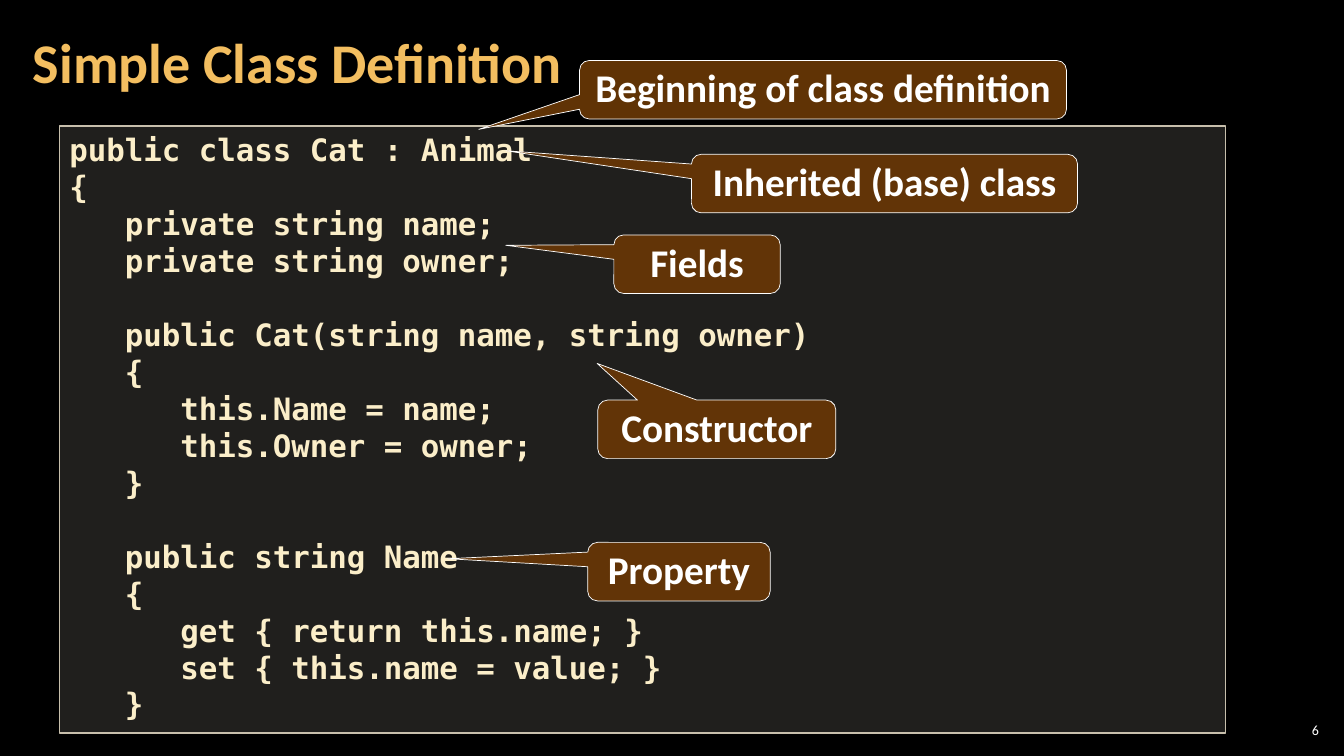
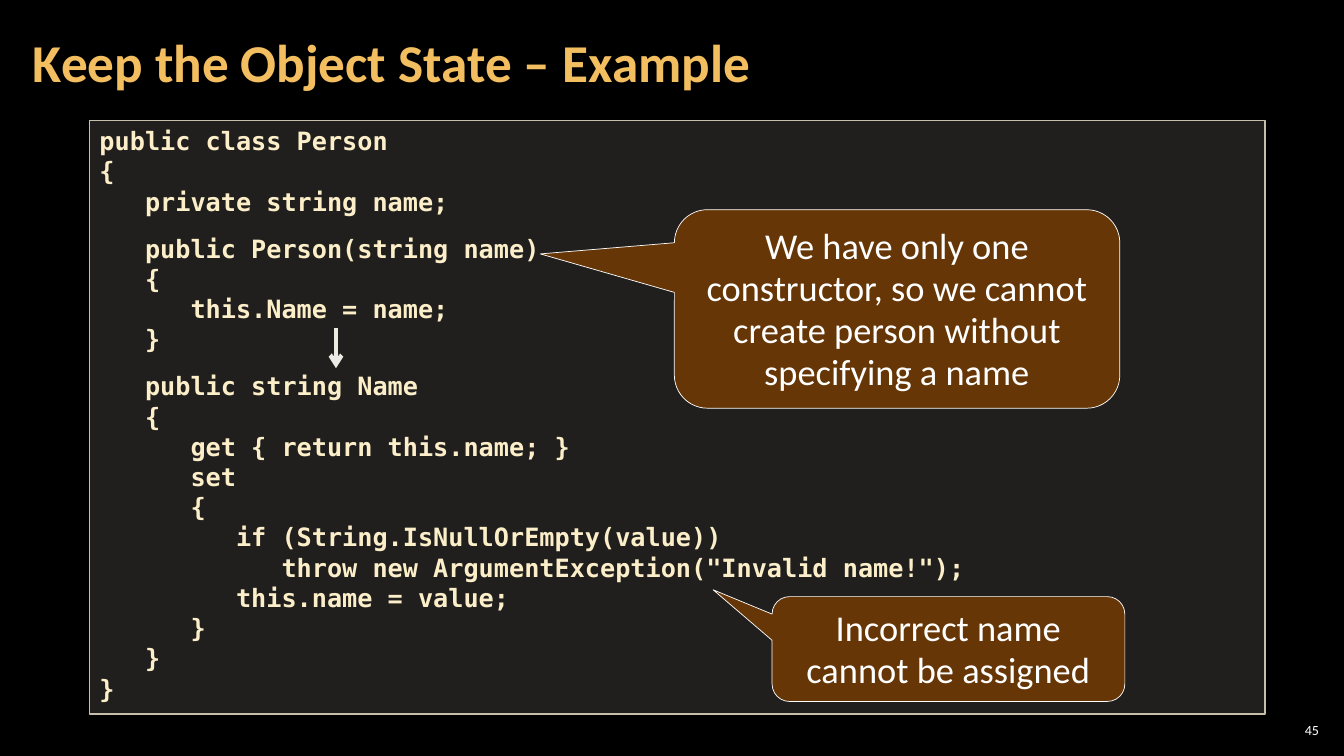
from dataclasses import dataclass

from lxml import etree
from pptx import Presentation
from pptx.dml import color
from pptx.enum import shapes, text
from pptx.oxml import ns
from pptx.util import Pt


@dataclass(frozen=True)
class Theme:
    background: str = "000000"
    title: str = "F3BE60"
    code: str = "FBEEC9"
    panel: str = "D9D5C7"
    panel_line: str = "C7BFAC"
    callout: str = "663606"
    white: str = "FFFFFF"
    arrow: str = "ECEAE3"
    body_font: str = "Calibri"
    code_font: str = "DejaVu Sans Mono"
    number_size: float = 10
    callout_leading: float = 30
    code_leading: float = 1.2


T = Theme()
TITLE_BOX = (15, 3, 754, 87)
NUMBER_BOX = (911, 514, 34, 15)

CAT_CODE = """public class Cat : Animal
{
   private string name;
   private string owner;

   public Cat(string name, string owner)
   {
      this.Name = name;
      this.Owner = owner;
   }

   public string Name
   {
      get { return this.name; }
      set { this.name = value; }
   }"""

PERSON_CODE = """public class Person
{
   private string name;

   public Person(string name)
   {
      this.Name = name;
   }

   public string Name
   {
      get { return this.name; }
      set
      {
         if (String.IsNullOrEmpty(value))
            throw new ArgumentException("Invalid name!");
         this.name = value;
      }
   }
}"""

# Callouts: text, box, point of the tail
CAT_CALLOUTS = [
    ("Fields", (438.5, 167.8, 118.8, 41.8), (361.3, 175.2)),
    ("Constructor", (427, 285.8, 170, 41.8), (426.5, 259.6)),
    ("Property", (419.8, 387.4, 130.3, 41.8), (320, 399.1)),
    ("Beginning of class definition", (414, 43.2, 347.8, 41.8), (342, 92.4)),
    ("Inherited (base) class", (493.9, 110.2, 275.8, 41.8), (361.5, 107.7)),
]
PERSON_CALLOUTS = [
    ("We have only one constructor, so we cannot create person without specifying a name",
     (481.7, 149.8, 318.2, 141.8), (385.9, 181.4)),
    ("Incorrect name cannot be assigned", (551.5, 426.2, 252, 74.9), (509.4, 421.3)),
]


def pts(values):
    return [Pt(v) for v in values]


def rgb(value):
    return color.RGBColor.from_string(value)


def add_run(p, words, font, size, tint, bold=False):
    r = p.add_run()
    r.text = words
    r.font.name, r.font.size, r.font.bold = font, Pt(size), bold
    r.font.color.rgb = rgb(tint)


def set_frame(tf, anchor, inset_x=7.2, inset_y=3.6):
    tf.word_wrap = True
    tf.auto_size = text.MSO_AUTO_SIZE.NONE
    tf.vertical_anchor = anchor
    tf.margin_left = tf.margin_right = Pt(inset_x)
    tf.margin_top = tf.margin_bottom = Pt(inset_y)


def add_panel(s, kind, box, fill, alpha, line, width):
    """Outlined shape with a fill of the given opacity in percent."""
    sp = s.shapes.add_shape(kind, *pts(box))
    sp.shadow.inherit = False
    sp.fill.solid()
    sp.fill.fore_color.rgb = rgb(fill)
    if alpha < 100:
        tint = sp.fill._xPr.find(".//" + ns.qn("a:srgbClr"))
        etree.SubElement(tint, ns.qn("a:alpha"), val=str(alpha * 1000))
    sp.line.color.rgb = rgb(line)
    sp.line.width = Pt(width)
    return sp


def add_code(s, box, code, size, gap):
    """Code panel; an empty line in the code becomes space before the next."""
    sp = add_panel(s, shapes.MSO_SHAPE.RECTANGLE, box, T.panel, 15, T.panel_line, 1)
    tf = sp.text_frame
    set_frame(tf, text.MSO_ANCHOR.TOP)
    p = tf.paragraphs[0]
    for block_no, block in enumerate(code.split("\n\n")):
        for line_no, line in enumerate(block.split("\n")):
            if block_no or line_no:
                p = tf.add_paragraph()
            p.alignment = text.PP_ALIGN.LEFT
            p.line_spacing = Pt(size * T.code_leading)
            if block_no and not line_no:
                p.space_before = Pt(gap)
            add_run(p, line, T.code_font, size, T.code, True)


def add_callout(s, words, box, tip, size, bold, alpha):
    sp = add_panel(s, shapes.MSO_SHAPE.ROUNDED_RECTANGULAR_CALLOUT, box,
                   T.callout, alpha, T.white, 0.5)
    left, top, width, height = box
    sp.adjustments[0] = (tip[0] - left) / width - 0.5
    sp.adjustments[1] = (tip[1] - top) / height - 0.5
    tf = sp.text_frame
    set_frame(tf, text.MSO_ANCHOR.MIDDLE)
    p = tf.paragraphs[0]
    p.alignment = text.PP_ALIGN.CENTER
    p.line_spacing = Pt(T.callout_leading)
    add_run(p, words, T.body_font, size, T.white, bold)


def add_arrow(s, start, end):
    cx = s.shapes.add_connector(shapes.MSO_CONNECTOR.STRAIGHT, *pts(start + end))
    cx.line.color.rgb = rgb(T.arrow)
    cx.line.width = Pt(3)
    etree.SubElement(cx.line._get_or_add_ln(), ns.qn("a:tailEnd"), type="arrow")
    etree.SubElement(cx._element.spPr, ns.qn("a:effectLst"))


def add_slide(prs, title, title_size, number):
    """Slide with its title and number."""
    s = prs.slides.add_slide(prs.slide_layouts[5])
    sp = s.shapes.title
    sp.left, sp.top, sp.width, sp.height = pts(TITLE_BOX)
    set_frame(sp.text_frame, text.MSO_ANCHOR.MIDDLE, 8.5, 2.8)
    p = sp.text_frame.paragraphs[0]
    p.alignment = text.PP_ALIGN.LEFT
    p.line_spacing = 0.9
    add_run(p, title, T.body_font, title_size, T.title, True)

    tf = s.shapes.add_textbox(*pts(NUMBER_BOX)).text_frame
    set_frame(tf, text.MSO_ANCHOR.MIDDLE, 2.8, 2.8)
    p = tf.paragraphs[0]
    p.alignment = text.PP_ALIGN.RIGHT
    add_run(p, number, T.body_font, T.number_size, T.white)
    return s


def class_slide(prs):
    s = add_slide(prs, "Simple Class Definition", 40, "6")
    add_code(s, (42.5, 90, 833, 433.5), CAT_CODE, 22, 26.4)
    for words, box, tip in CAT_CALLOUTS:
        add_callout(s, words, box, tip, 28, True, 95)


def state_slide(prs):
    s = add_slide(prs, "Keep the Object State – Example", 38, "45")
    add_code(s, (64, 86, 839.5, 424), PERSON_CODE, 18, 12)
    add_arrow(s, (240, 234), (240, 263))
    for words, box, tip in PERSON_CALLOUTS:
        add_callout(s, words, box, tip, 26, False, 100)


def main():
    prs = Presentation()
    prs.slide_width, prs.slide_height = Pt(960), Pt(540)
    fill = prs.slide_master.background.fill
    fill.solid()
    fill.fore_color.rgb = rgb(T.background)
    class_slide(prs)
    state_slide(prs)
    prs.save("out.pptx")


if __name__ == "__main__":
    main()
